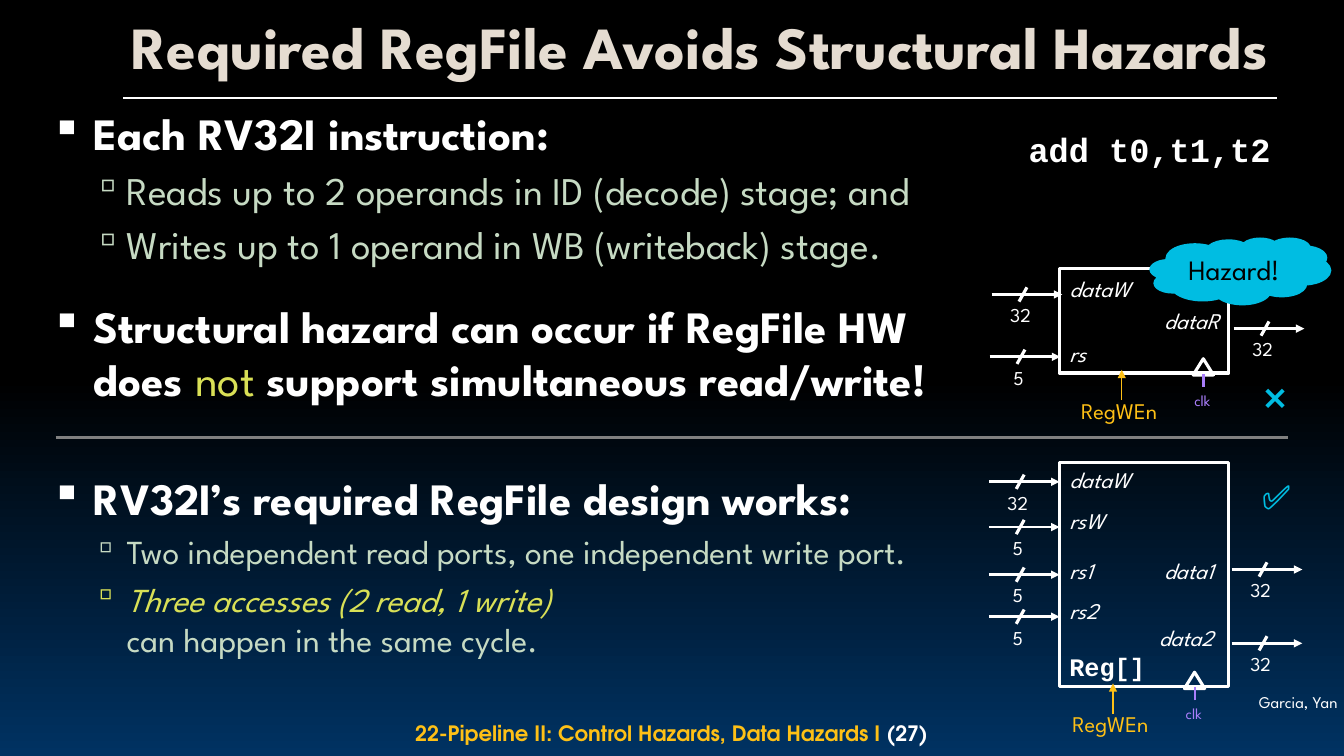
from lxml import etree
from pptx import Presentation
from pptx import util as u
from pptx.dml.color import RGBColor
from pptx.enum import shapes, text
from pptx.oxml import ns

Cm, Pt = u.Cm, u.Pt
LEFT, CENTER, RIGHT = text.PP_ALIGN.LEFT, text.PP_ALIGN.CENTER, text.PP_ALIGN.RIGHT
TOP, MIDDLE, BOTTOM = text.MSO_ANCHOR.TOP, text.MSO_ANCHOR.MIDDLE, text.MSO_ANCHOR.BOTTOM
SPARTAN, COURIER, ADVENTOR = "League Spartan", "Courier New", "TeX Gyre Adventor"
COLORS = {
    "black": "000000", "navy": "003262", "white": "FFFFFF", "cream": "E5DCD1",
    "sage": "C6DAC3", "lime": "D9E056", "gold": "FEC016", "violet": "A97EFA",
    "cyan": "00BDE2", "gray": "808080",
}
RGB = {name: RGBColor.from_string(value) for name, value in COLORS.items()}


def write(p, content, size=16, color="white", font=SPARTAN, bold=False, italic=False):
    r = p.add_run()
    r.text = content
    r.font.size = Pt(size)
    r.font.name = font
    r.font.bold = bold
    r.font.italic = italic
    r.font.color.rgb = RGB[color]


def draw_line(x1, y1, x2, y2, color="white", width=2.25, arrow=False):
    line = s.shapes.add_connector(
        shapes.MSO_CONNECTOR.STRAIGHT, Cm(x1), Cm(y1), Cm(x2), Cm(y2))
    line.line.color.rgb = RGB[color]
    line.line.width = Pt(width)
    if arrow:
        etree.SubElement(line.line._get_or_add_ln(), ns.qn("a:tailEnd"), type="triangle")
    etree.SubElement(line._element.spPr, ns.qn("a:effectLst"))
    return line


prs = Presentation()
prs.slide_width, prs.slide_height = Cm(33.87), Cm(19.05)
s = prs.slides.add_slide(prs.slide_layouts[6])

fill = s.background.fill
fill.gradient()
fill.gradient_angle = 270
for stop, color, position in zip(fill.gradient_stops, ("black", "navy"), (0.5, 1)):
    stop.color.rgb = RGB[color]
    stop.position = position

draw_line(3.1, 2.46, 32.18, 2.46, width=1.5)
draw_line(1.4, 11.02, 32.46, 11.02, "gray")

title = s.shapes.add_textbox(Cm(3.07), Cm(0.2), Cm(29.18), Cm(2.13))
tf = title.text_frame
tf.word_wrap = True
tf.vertical_anchor = MIDDLE
tf.paragraphs[0].line_spacing = 0.9
write(tf.paragraphs[0], "Required RegFile Avoids Structural Hazards", 42.7, "cream", bold=True)

HEAD = dict(size=32, bold=True)
SUB = dict(size=28, color="sage")
DETAIL = dict(size=24, color="sage")
body = [
    (0, 0, [("Each RV32I instruction:", HEAD)]),
    (1, 5, [("Reads up to 2 operands in ID (decode) stage; and", SUB)]),
    (1, 5, [("Writes up to 1 operand in WB (writeback) stage.", SUB)]),
    (0, 22, [("Structural hazard can occur if RegFile HW", HEAD), None, ("does ", HEAD),
             ("not", dict(size=32, color="lime")),
             (" support simultaneous read/write!", HEAD)]),
    (0, 46, [("RV32I’s required RegFile design works:", HEAD)]),
    (1, 5, [("Two independent read ports, one independent write port.", DETAIL)]),
    (1, 5, [("Three accesses (2 read, 1 write)", dict(size=24, color="lime", italic=True)),
            None, ("can happen in the same cycle.", DETAIL)]),
]
BULLETS = [("▪", 95000, 1.3, -1.07), ("▫", 90000, 2.13, -0.86)]
tf = s.shapes.add_textbox(Cm(0.81), Cm(2.54), Cm(25.65), Cm(16.03)).text_frame
tf.word_wrap = True
for i, (level, before, runs) in enumerate(body):
    p = tf.add_paragraph() if i else tf.paragraphs[0]
    mark, scale, margin, indent = BULLETS[level]
    pPr = p._p.get_or_add_pPr()
    pPr.set("marL", str(Cm(margin)))
    pPr.set("indent", str(Cm(indent)))
    etree.SubElement(pPr, ns.qn("a:buSzPct"), val=str(scale))
    etree.SubElement(pPr, ns.qn("a:buChar"), char=mark)
    p.level = level
    if before:
        p.space_before = Pt(before)
    for run in runs:
        if run:
            write(p, run[0], **run[1])
        else:
            p.add_line_break()

PORT = dict(italic=True)
regfiles = [
    (6.76, 2.64, MIDDLE, [("dataW", 0, LEFT, PORT), ("dataR", 4, RIGHT, PORT),
                          ("rs", 4, LEFT, PORT)]),
    (11.66, 5.64, BOTTOM, [("dataW", 0, LEFT, PORT), ("rsW", 10, LEFT, PORT),
                           ("rs1\tdata1", 16, LEFT, PORT), ("rs2", 10, LEFT, PORT),
                           ("\tdata2", 0, LEFT, PORT),
                           ("Reg[]", 0, LEFT, dict(size=18, font=COURIER, bold=True))]),
]
for top, height, anchor, ports in regfiles:
    regfile = s.shapes.add_shape(
        shapes.MSO_SHAPE.RECTANGLE, Cm(26.7), Cm(top), Cm(4.27), Cm(height))
    regfile.shadow.inherit = False
    regfile.fill.background()
    regfile.line.color.rgb = RGB["white"]
    regfile.line.width = Pt(2.25)
    tf = regfile.text_frame
    tf.word_wrap = True
    tf.vertical_anchor = anchor
    for i, (port, before, align, fmt) in enumerate(ports):
        p = tf.add_paragraph() if i else tf.paragraphs[0]
        if "\t" in port:
            tabs = etree.SubElement(p._p.get_or_add_pPr(), ns.qn("a:tabLst"))
            etree.SubElement(tabs, ns.qn("a:tab"), pos=str(Cm(3.63)), algn="r")
        p.alignment = align
        if before:
            p.space_before = Pt(before)
        write(p, port, **fmt)

GOLD = dict(color="gold")
MARK = dict(size=24, color="cyan")
labels = [
    (30.2, 17.35, 3.66, 0.66, RIGHT, True, TOP, [("Garcia, Yan", dict(size=11.7))]),
    (6.22, 18.08, 21.41, 0.81, CENTER, True, MIDDLE, [
        ("22-Pipeline II: Control Hazards, Data Hazards I ",
         dict(size=15.1, color="gold", font=ADVENTOR, bold=True)),
        ("(27)", dict(size=15.1, font=ADVENTOR, bold=True))]),
    (25.4, 3.12, 7.14, 1.27, CENTER, True, TOP,
     [("add t0,t1,t2", dict(size=24, font=COURIER, bold=True))]),
    (31.6, 9.37, 1.37, 1.27, LEFT, False, TOP, [("❌", MARK)]),
    (31.55, 11.86, 1.37, 1.27, LEFT, False, TOP, [("✅", MARK)]),
]

buses = [
    (24.99, 7.42, "32"), (24.94, 8.99, "5"), (31.09, 8.28, "32"),
    (24.92, 12.14, "32"), (24.92, 13.28, "5"), (24.92, 14.48, "5"), (24.92, 15.54, "5"),
    (31.04, 14.35, "32"), (31.04, 16.21, "32"),
]
for x, y, bits in buses:
    bus = draw_line(x, y, x + 1.78, y, width=2, arrow=True)
    if y == 14.48:
        bus.end_connect(regfile, 1)
    draw_line(x + 0.89, y - 0.18, x + 0.69, y + 0.18)
    labels.append((x + 0.3, y + 0.14, 0.86, 0.76, CENTER, False, TOP, [(bits, dict(size=14))]))

for dx, dy in [(0, 0), (-0.22, 7.9)]:
    clock = s.shapes.add_shape(shapes.MSO_SHAPE.ISOSCELES_TRIANGLE,
                               Cm(30.07 + dx), Cm(9.04 + dy), Cm(0.51), Cm(0.41))
    clock.shadow.inherit = False
    clock.fill.background()
    clock.line.color.rgb = RGB["white"]
    clock.line.width = Pt(2.25)
    draw_line(30.33 + dx, 9.75 + dy, 30.33 + dx, 9.42 + dy, "violet", 1.5)
    draw_line(28.27 + dx, 10.08 + dy, 28.27 + dx, 9.32 + dy, "gold", 1, arrow=True)
    labels += [
        (29.85 + dx, 9.73 + dy, 0.94, 0.74, LEFT, False, TOP,
         [("clk", dict(size=11, color="violet"))]),
        (26.39 + dx, 9.98 + dy, 3.63, 0.84, CENTER, True, TOP, [("RegWEn", GOLD)]),
    ]

cloud = s.shapes.add_shape(shapes.MSO_SHAPE.CLOUD, Cm(29.01), Cm(6.02), Cm(4.5), Cm(1.63))
cloud.shadow.inherit = False
cloud.fill.solid()
cloud.fill.fore_color.rgb = RGB["cyan"]
cloud.line.color.rgb = RGB["cyan"]
cloud.line.width = Pt(2.25)
cloud.text_frame.vertical_anchor = MIDDLE
p = cloud.text_frame.paragraphs[0]
p.alignment = CENTER
write(p, "Hazard!", 20, "black")

for x, y, w, h, align, wrap, anchor, runs in labels:
    tf = s.shapes.add_textbox(Cm(x), Cm(y), Cm(w), Cm(h)).text_frame
    tf.word_wrap = wrap
    tf.vertical_anchor = anchor
    if h < 0.8 and align != LEFT:
        tf.margin_left = tf.margin_right = Cm(0.15)
        tf.margin_top = tf.margin_bottom = Cm(0.08)
    p = tf.paragraphs[0]
    p.alignment = align
    if runs[0][1] is GOLD:
        p.line_spacing = 0.85
    for content, fmt in runs:
        write(p, content, **fmt)

prs.save("out.pptx")
